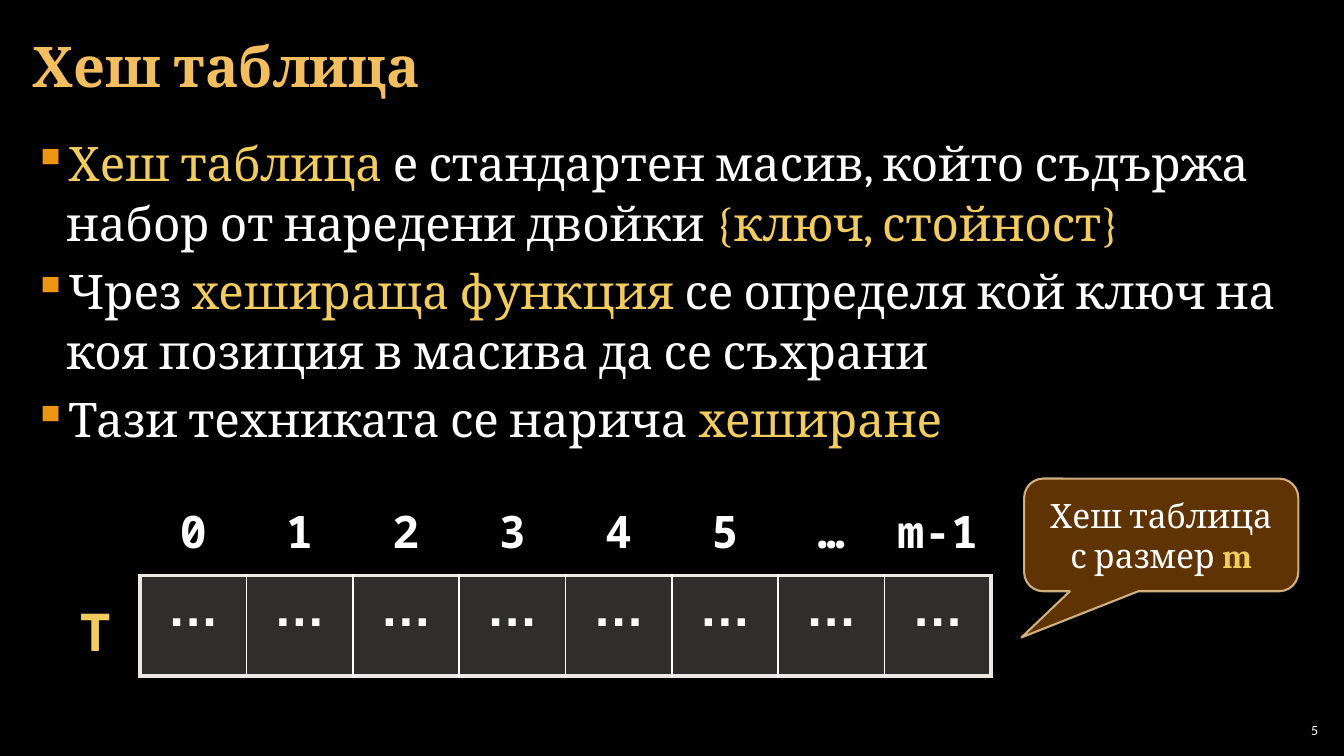
from dataclasses import dataclass

from lxml.etree import SubElement
from pptx import Presentation
from pptx.dml.color import RGBColor
from pptx.enum.shapes import MSO_SHAPE
from pptx.enum.text import MSO_ANCHOR, PP_ALIGN
from pptx.oxml.ns import qn
from pptx.util import Cm, Pt


@dataclass(frozen=True)
class Theme:
    background: str = "000000"
    text: str = "FFFFFF"
    title: str = "F3BE60"
    accent: str = "F3CC5F"
    bullet: str = "ED9411"
    frame: str = "ECE9E2"
    callout_fill: str = "663606"
    callout_line: str = "F8D49E"
    serif: str = "Cambria"
    sans: str = "Arial"
    mono: str = "Noto Sans Mono"
    small_font: str = "Calibri"
    title_size: float = 40
    body_size: float = 34
    slot_size: float = 37
    index_size: float = 32
    array_name_size: float = 37.3
    callout_size: float = 24
    number_size: float = 10


THEME = Theme()
INDICES = ["0", "1", "2", "3", "4", "5", "…", "m-1"]
TABLE_LEFT, COLUMN_WIDTH = 3.53, 2.68
BULLETS = [
    [("Хеш таблица", True), (" е стандартен масив, който съдържа набор от наредени двойки ", False),
     ("{ключ, стойност}", True)],
    [("Чрез ", False), ("хешираща функция ", True),
     ("се определя кой ключ на коя позиция в масива да се съхрани", False)],
    [("Тази техниката се нарича ", False), ("хеширане", True)],
]


def add_span(para, text, *, size, font=THEME.serif, color=THEME.text, bold=False):
    span = para.add_run()
    span.text = text
    span.font.size = Pt(size)
    span.font.name = font
    span.font.bold = bold
    span.font.color.rgb = RGBColor.from_string(color)


def set_margins(target, horizontal, vertical):
    target.margin_left = target.margin_right = Cm(horizontal)
    target.margin_top = target.margin_bottom = Cm(vertical)


def set_opacity(element, percent):
    for color in element.iter(qn("a:srgbClr")):
        SubElement(color, qn("a:alpha"), val=str(percent * 1000))


def add_box(page, left, top, width, height, *, margins, anchor=MSO_ANCHOR.TOP, align=PP_ALIGN.LEFT):
    """Add a wrapping text box and return its text frame."""
    frame = page.shapes.add_textbox(Cm(left), Cm(top), Cm(width), Cm(height)).text_frame
    frame.word_wrap = True
    frame.vertical_anchor = anchor
    set_margins(frame, *margins)
    frame.paragraphs[0].alignment = align
    return frame


def add_bullets(page):
    frame = add_box(page, 0.53, 3.2, 32.79, 15.47, margins=(0.3, 0.1))
    for number, parts in enumerate(BULLETS):
        para = frame.add_paragraph() if number else frame.paragraphs[0]
        para.line_spacing = 1.05
        para.space_after = Pt(6)
        properties = para._p.get_or_add_pPr()
        properties.set("marL", str(Cm(0.84)))
        properties.set("indent", str(-Cm(0.84)))
        bullet_color = SubElement(properties, qn("a:buClr"))
        SubElement(bullet_color, qn("a:srgbClr"), val=THEME.bullet)
        SubElement(properties, qn("a:buChar"), char="▪")
        for text, marked in parts:
            add_span(para, text, size=THEME.body_size, color=THEME.accent if marked else THEME.text)


def set_border(cell, side, color=None, width=0):
    """Draw one side (L, R, T or B) of a cell, or hide it when no color is given."""
    line = SubElement(cell._tc.get_or_add_tcPr(), qn(f"a:ln{side}"), w=str(Pt(width)))
    if color:
        SubElement(SubElement(line, qn("a:solidFill")), qn("a:srgbClr"), val=color)
    else:
        SubElement(line, qn("a:noFill"))


def add_row(page, top, height, texts, *, margins, **text_format):
    """Add a one-row table with equal columns and return its cells."""
    frame = page.shapes.add_table(1, len(texts), Cm(TABLE_LEFT), Cm(top),
                                  Cm(COLUMN_WIDTH * len(texts)), Cm(height))
    table = frame.table
    table.first_row = table.horz_banding = False
    cells = list(table.rows[0].cells)
    for cell, text in zip(cells, texts):
        set_margins(cell, *margins)
        para = cell.text_frame.paragraphs[0]
        para.alignment = PP_ALIGN.CENTER
        para.line_spacing = 0.95
        add_span(para, text, bold=True, **text_format)
    return cells


def add_indices(page):
    for cell in add_row(page, 12.52, 1.55, INDICES, margins=(0.18, 0.13),
                        size=THEME.index_size, font=THEME.mono):
        for side in "LRTB":
            set_border(cell, side)
        cell.fill.background()


def add_slots(page):
    cells = add_row(page, 14.5, 2.54, ["…"] * len(INDICES), margins=(0.46, 0.18),
                    size=THEME.slot_size, font=THEME.sans)
    outer, inner = (THEME.frame, 3), (THEME.text, 1.5)
    for cell in cells:
        set_border(cell, "L", *(outer if cell is cells[0] else inner))
        set_border(cell, "R", *(outer if cell is cells[-1] else inner))
        set_border(cell, "T", *outer)
        set_border(cell, "B", *outer)
        cell.fill.solid()
        cell.fill.fore_color.rgb = RGBColor.from_string(THEME.frame)
        set_opacity(cell._tc.tcPr.find(qn("a:solidFill")), 20)


def add_callout(page):
    callout = page.shapes.add_shape(MSO_SHAPE.ROUNDED_RECTANGULAR_CALLOUT,
                                    Cm(25.81), Cm(12.06), Cm(6.91), Cm(2.84))
    callout.shadow.inherit = False
    for index, value in enumerate((-0.51, 0.91, 0.17)):
        callout.adjustments[index] = value
    callout.fill.solid()
    callout.fill.fore_color.rgb = RGBColor.from_string(THEME.callout_fill)
    callout.line.color.rgb = RGBColor.from_string(THEME.callout_line)
    callout.line.width = Pt(1.5)
    properties = callout._element.spPr
    set_opacity(properties.find(qn("a:solidFill")), 95)
    set_opacity(properties.find(qn("a:ln")), 80)
    frame = callout.text_frame
    frame.word_wrap = True
    frame.vertical_anchor = MSO_ANCHOR.MIDDLE
    set_margins(frame, 0.33, 0.18)
    para = frame.paragraphs[0]
    para.alignment = PP_ALIGN.CENTER
    add_span(para, "Хеш таблица с размер ", size=THEME.callout_size)
    add_span(para, "m", size=THEME.callout_size, color=THEME.accent, bold=True)


def add_labels(page):
    title = add_box(page, 0.53, 0.1, 32.79, 3.07, margins=(0.3, 0.1), anchor=MSO_ANCHOR.MIDDLE)
    add_span(title.paragraphs[0], "Хеш таблица", size=THEME.title_size, color=THEME.title, bold=True)
    array_name = add_box(page, 1.68, 14.91, 1.42, 1.93, margins=(0.33, 0.18), align=PP_ALIGN.CENTER)
    add_span(array_name.paragraphs[0], "T", size=THEME.array_name_size, font=THEME.mono,
             color=THEME.accent, bold=True)
    number = add_box(page, 32.13, 18.14, 1.19, 0.53, margins=(0.1, 0.1),
                     anchor=MSO_ANCHOR.MIDDLE, align=PP_ALIGN.RIGHT)
    add_span(number.paragraphs[0], "5", size=THEME.number_size, font=THEME.small_font)


def main():
    deck = Presentation()
    deck.slide_width, deck.slide_height = Cm(33.87), Cm(19.05)
    page = deck.slides.add_slide(deck.slide_layouts[6])
    page.background.fill.solid()
    page.background.fill.fore_color.rgb = RGBColor.from_string(THEME.background)
    add_labels(page)
    add_bullets(page)
    add_slots(page)
    add_indices(page)
    add_callout(page)
    deck.save("out.pptx")


if __name__ == "__main__":
    main()
